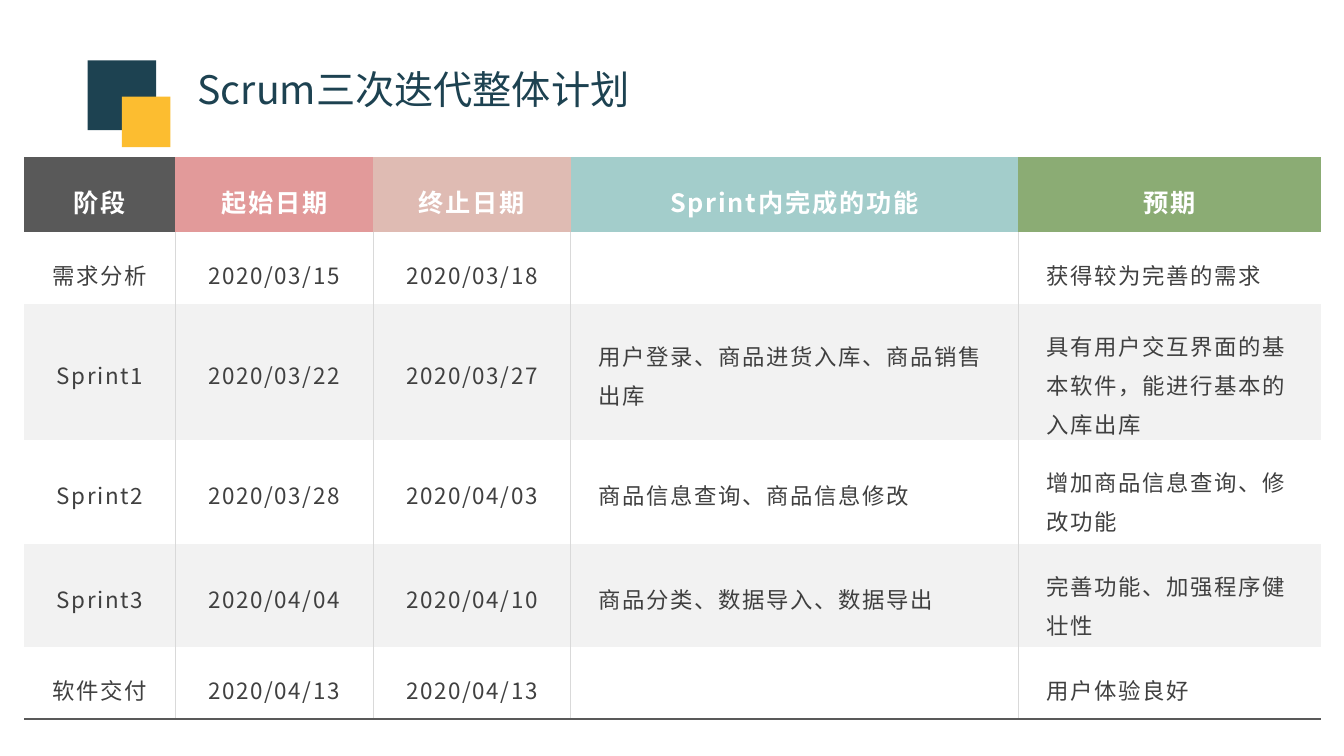
from dataclasses import dataclass

from lxml import etree
from pptx import Presentation
from pptx.dml.color import RGBColor
from pptx.enum.shapes import MSO_SHAPE
from pptx.enum.text import MSO_ANCHOR, PP_ALIGN
from pptx.oxml.ns import qn
from pptx.util import Inches, Pt

RECTANGLE = MSO_SHAPE.RECTANGLE
MIDDLE = MSO_ANCHOR.MIDDLE
LEFT, CENTER = PP_ALIGN.LEFT, PP_ALIGN.CENTER

TITLE_FONT, TABLE_FONT = "Noto Sans CJK JP", "Noto Sans CJK SC"
NAVY, YELLOW, WHITE = "1D4251", "FCBD30", "FFFFFF"
DARK_GRAY, TEXT_GRAY, LINE_GRAY, BAND_GRAY = "595959", "404040", "D9D9D9", "F2F2F2"
NO_STYLE_NO_GRID = "{2D5ABB26-0587-4C30-8999-92F81FD0307C}"
INSET = 0.19


@dataclass(frozen=True)
class Square:
    left: float
    top: float
    width: float
    height: float
    color: str


@dataclass(frozen=True)
class Column:
    heading: str
    width: float
    color: str
    align: int


@dataclass(frozen=True)
class Stage:
    texts: tuple[str, ...]
    height: float
    last_inset: float


@dataclass(frozen=True)
class TextStyle:
    font: str
    size: float
    color: str
    bold: bool = False
    spacing: float = 0


SQUARES = [Square(0.87, 0.6, 0.68, 0.69, NAVY), Square(1.21, 0.96, 0.48, 0.5, YELLOW)]
COLUMNS = [
    Column("阶段", 1.5, DARK_GRAY, CENTER),
    Column("起始日期", 1.96, "E29A9A", CENTER),
    Column("终止日期", 1.96, "DFBBB3", CENTER),
    Column("Sprint内完成的功能", 4.44, "A3CDCB", LEFT),
    Column("预期", 3, "8BAC74", LEFT),
]
HEADER_HEIGHT, SINGLE_LINE_INSET = 0.74, 0.12
STAGES = [
    Stage(("需求分析", "2020/03/15", "2020/03/18", "", "获得较为完善的需求"),
          0.71, SINGLE_LINE_INSET),
    Stage(("Sprint1", "2020/03/22", "2020/03/27", "用户登录、商品进货入库、商品销售出库",
           "具有用户交互界面的基本软件，能进行基本的入库出库"), 1.35, 0),
    Stage(("Sprint2", "2020/03/28", "2020/04/03", "商品信息查询、商品信息修改",
           "增加商品信息查询、修改功能"), 1.03, 0.06),
    Stage(("Sprint3", "2020/04/04", "2020/04/10", "商品分类、数据导入、数据导出",
           "完善功能、加强程序健壮性"), 1.03, 0.06),
    Stage(("软件交付", "2020/04/13", "2020/04/13", "", "用户体验良好"),
          0.71, SINGLE_LINE_INSET),
]
TITLE_STYLE = TextStyle(TITLE_FONT, 28, NAVY)
HEADING_STYLE = TextStyle(TABLE_FONT, 18, WHITE, True, 1.3)
BODY_STYLE = TextStyle(TABLE_FONT, 16, TEXT_GRAY, False, 1.2)


def rgb(color: str) -> RGBColor:
    return RGBColor.from_string(color)


def format_text(frame, style: TextStyle, align: int, line_spacing: float) -> None:
    for para in frame.paragraphs:
        para.alignment = align
        para.line_spacing = line_spacing
        for span in para.runs:
            font = span.font
            font.name, font.size, font.bold = style.font, Pt(style.size), style.bold
            font.color.rgb = rgb(style.color)
            properties = font._element
            etree.SubElement(properties, qn("a:ea"), typeface=style.font)
            if style.spacing:
                properties.set("spc", str(round(style.spacing * 100)))


def set_borders(cell, borders: dict[str, tuple[str, float]]) -> None:
    """Draw the given sides (L, R, B in that order) as (color, points)."""
    properties = cell._tc.get_or_add_tcPr()
    for index, (side, (color, points)) in enumerate(borders.items()):
        line = etree.Element(qn(f"a:ln{side}"), w=str(Pt(points)))
        fill = etree.SubElement(line, qn("a:solidFill"))
        etree.SubElement(fill, qn("a:srgbClr"), val=color)
        properties.insert(index, line)


def add_title(page, text: str) -> None:
    title = page.shapes.title
    title.left, title.top = Inches(1.86), Inches(0.6)
    title.width, title.height = Inches(5.08), Inches(0.57)
    title.text_frame.text = text
    title.text_frame.vertical_anchor = MIDDLE
    format_text(title.text_frame, TITLE_STYLE, LEFT, 1.0)


def add_square(shapes, square: Square) -> None:
    box = shapes.add_shape(RECTANGLE, Inches(square.left), Inches(square.top),
                           Inches(square.width), Inches(square.height))
    box.shadow.inherit = False
    box.fill.solid()
    box.fill.fore_color.rgb = rgb(square.color)
    box.line.fill.background()


def fill_cell(cell, text: str, color: str, style: TextStyle, align: int,
              bottom_inset: float) -> None:
    cell.fill.solid()
    cell.fill.fore_color.rgb = rgb(color)
    cell.vertical_anchor = MIDDLE
    if text:
        cell.margin_left = cell.margin_right = Inches(0.28)
        cell.margin_top, cell.margin_bottom = Inches(INSET), Inches(bottom_inset)
        cell.text_frame.text = text
        format_text(cell.text_frame, style, align, 1.2)


def add_plan(page) -> None:
    heights = [HEADER_HEIGHT] + [stage.height for stage in STAGES]
    frame = page.shapes.add_table(
        len(heights), len(COLUMNS), Inches(0.24), Inches(1.56),
        Inches(sum(column.width for column in COLUMNS)), Inches(sum(heights)))
    for style_id in frame._element.iter(qn("a:tableStyleId")):
        style_id.text = NO_STYLE_NO_GRID
    table = frame.table
    for row, height in zip(table.rows, heights):
        row.height = Inches(height)
    last = len(COLUMNS) - 1
    for index, column in enumerate(COLUMNS):
        table.columns[index].width = Inches(column.width)
        fill_cell(table.cell(0, index), column.heading, column.color, HEADING_STYLE,
                  CENTER, SINGLE_LINE_INSET)
        for number, stage in enumerate(STAGES, start=1):
            cell = table.cell(number, index)
            band = WHITE if number % 2 else BAND_GRAY
            tight = index == last or stage.last_inset == SINGLE_LINE_INSET
            fill_cell(cell, stage.texts[index], band, BODY_STYLE, column.align,
                      stage.last_inset if tight else INSET)
            borders = {}
            if index > 0:
                borders["L"] = (LINE_GRAY, 1 if index == 1 else 0.5)
            if index < last:
                borders["R"] = (LINE_GRAY, 1 if index == 0 else 0.5)
            if number == len(STAGES):
                borders["B"] = (DARK_GRAY, 1.5)
            set_borders(cell, borders)


def main() -> None:
    deck = Presentation()
    deck.slide_width, deck.slide_height = Inches(13.33), Inches(7.5)
    page = deck.slides.add_slide(deck.slide_layouts[5])
    add_title(page, "Scrum三次迭代整体计划")
    emblem = page.shapes.add_group_shape()
    for square in SQUARES:
        add_square(emblem.shapes, square)
    add_plan(page)
    deck.save("out.pptx")


if __name__ == "__main__":
    main()
